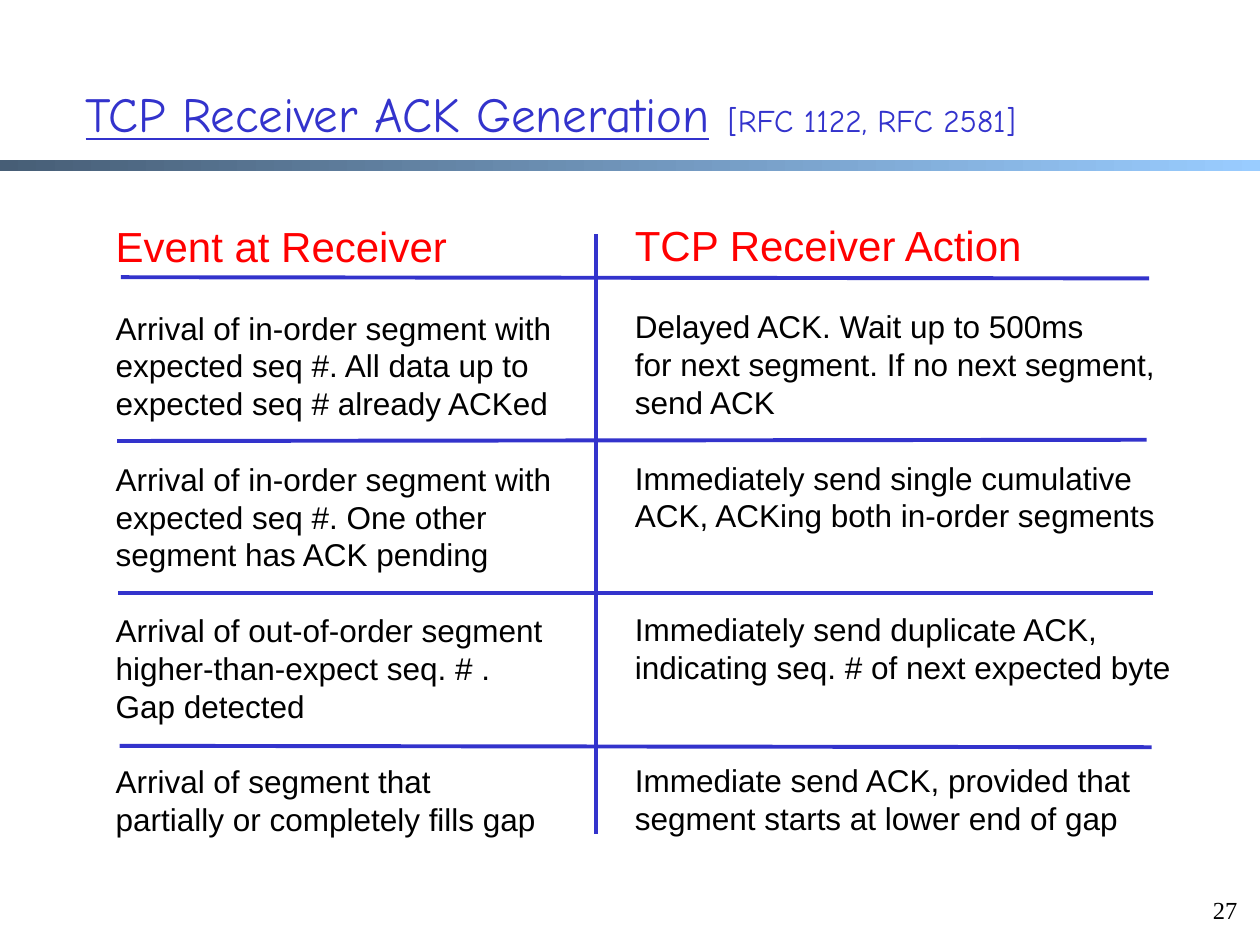
"""Build a slide that tabulates how a TCP receiver generates ACKs."""
import pptx
import pptx.dml.color
import pptx.enum.shapes
import pptx.enum.text
import pptx.oxml.ns
import pptx.util
from lxml import etree

Pt = pptx.util.Pt
RGBColor = pptx.dml.color.RGBColor

BLUE = RGBColor(0x33, 0x33, 0xCC)
RED = RGBColor(0xFF, 0x00, 0x00)
BLACK = RGBColor(0x00, 0x00, 0x00)
SLATE = RGBColor(0x47, 0x5E, 0x76)
SKY = RGBColor(0x99, 0xCC, 0xFF)

LINE_HEIGHT = 1.2
ROW_LINES = 4

HEADING = {"name": "Arial", "size": Pt(24), "color": RED}
BODY = {"name": "Arial", "size": Pt(18), "color": BLACK}
TITLE = {"name": "Comic Neue", "size": Pt(28), "color": BLUE, "underline": True}
TITLE_GAP = {**TITLE, "size": Pt(32), "underline": False}
REFERENCE = {**TITLE_GAP, "size": Pt(18)}
NUMBER = {"name": "Times New Roman", "size": Pt(14), "color": BLACK}

EVENTS = [
    ["Arrival of in-order segment with", "expected seq #. All data up to",
     "expected seq # already ACKed"],
    ["Arrival of in-order segment with", "expected seq #. One other",
     "segment has ACK pending"],
    ["Arrival of out-of-order segment", "higher-than-expect seq. # .",
     "Gap detected"],
    ["Arrival of segment that", "partially or completely fills gap"],
]
ACTIONS = [
    ["Delayed ACK. Wait up to 500ms", "for next segment. If no next segment,",
     "send ACK"],
    ["Immediately send single cumulative", "ACK, ACKing both in-order segments"],
    ["Immediately send duplicate ACK,", "indicating seq. # of next expected byte"],
    ["Immediate send ACK, provided that", "segment starts at lower end of gap"],
]
RULES = [
    (69.1, 158.4, 656.6, 159.1),
    (67, 252, 655.2, 251.3),
    (67.7, 339.1, 658.8, 339.1),
    (68.4, 426.2, 658.1, 427),
    (340.6, 133.9, 340.6, 476.6),
]


def add_run(paragraph, text, style):
    """Append a run whose font takes the values in style."""
    run = paragraph.add_run()
    run.text = text
    for name, value in style.items():
        if name == "color":
            run.font.color.rgb = value
        else:
            setattr(run.font, name, value)


def add_text_box(slide, left, top, width, height, wrap=True):
    """Add an empty text box and return its text frame."""
    shape = slide.shapes.add_textbox(Pt(left), Pt(top), Pt(width), Pt(height))
    shape.text_frame.word_wrap = wrap
    return shape.text_frame


def add_title(slide):
    """Add the underlined title followed by its references."""
    frame = add_text_box(slide, 41.8, 18, 631.4, 90)
    frame.vertical_anchor = pptx.enum.text.MSO_ANCHOR.MIDDLE
    paragraph = frame.paragraphs[0]
    add_run(paragraph, "TCP Receiver ACK Generation", TITLE)
    add_run(paragraph, " ", TITLE_GAP)
    add_run(paragraph, "[RFC 1122, RFC 2581]", REFERENCE)


def add_column(slide, left, top, width, heading, rows):
    """Add a heading and text rows that start at a fixed pitch."""
    frame = add_text_box(slide, left, top, width, 393.8, wrap=False)
    frame.auto_size = pptx.enum.text.MSO_AUTO_SIZE.SHAPE_TO_FIT_TEXT
    paragraph = frame.paragraphs[0]
    paragraph.line_spacing = Pt(24 * LINE_HEIGHT)
    add_run(paragraph, heading, HEADING)
    pitch = 18 * LINE_HEIGHT
    gap = pitch
    for lines in rows:
        for index, line in enumerate(lines):
            paragraph = frame.add_paragraph()
            paragraph.line_spacing = Pt(pitch)
            paragraph.space_before = Pt(0 if index else gap)
            add_run(paragraph, line, BODY)
        gap = (ROW_LINES - len(lines)) * pitch


def add_rule(slide, start_x, start_y, end_x, end_y):
    """Add a blue rule without a shadow."""
    rule = slide.shapes.add_connector(
        pptx.enum.shapes.MSO_CONNECTOR.STRAIGHT,
        Pt(start_x), Pt(start_y), Pt(end_x), Pt(end_y))
    rule.line.color.rgb = BLUE
    rule.line.width = Pt(2.25)
    properties = rule._element.spPr
    etree.SubElement(properties, pptx.oxml.ns.qn("a:effectLst"))


def add_gradient_bar(slide):
    """Add the full-width gradient bar under the title."""
    shape = slide.shapes.add_shape(
        pptx.enum.shapes.MSO_SHAPE.RECTANGLE, Pt(0), Pt(91.5), Pt(720), Pt(6))
    shape.shadow.inherit = False
    shape.line.fill.background()
    shape.fill.gradient()
    shape.fill.gradient_angle = 0
    for stop, position, color in zip(shape.fill.gradient_stops, (0, 1), (SLATE, SKY)):
        stop.position = position
        stop.color.rgb = color


def add_slide_number(slide):
    """Add the right-aligned slide number."""
    paragraph = add_text_box(slide, 681.1, 507.6, 33.1, 27.4).paragraphs[0]
    paragraph.alignment = pptx.enum.text.PP_ALIGN.RIGHT
    add_run(paragraph, "27", NUMBER)


def main():
    """Build and save the presentation."""
    presentation = pptx.Presentation()
    presentation.slide_width = Pt(720)
    presentation.slide_height = Pt(540)
    slide = presentation.slides.add_slide(presentation.slide_layouts[6])
    add_gradient_bar(slide)
    add_slide_number(slide)
    add_title(slide)
    add_column(slide, 59, 122.4, 263.5, "Event at Receiver", EVENTS)
    add_column(slide, 355.7, 121.7, 320.4, "TCP Receiver Action", ACTIONS)
    for rule in RULES:
        add_rule(slide, *rule)
    presentation.save("out.pptx")


if __name__ == "__main__":
    main()
